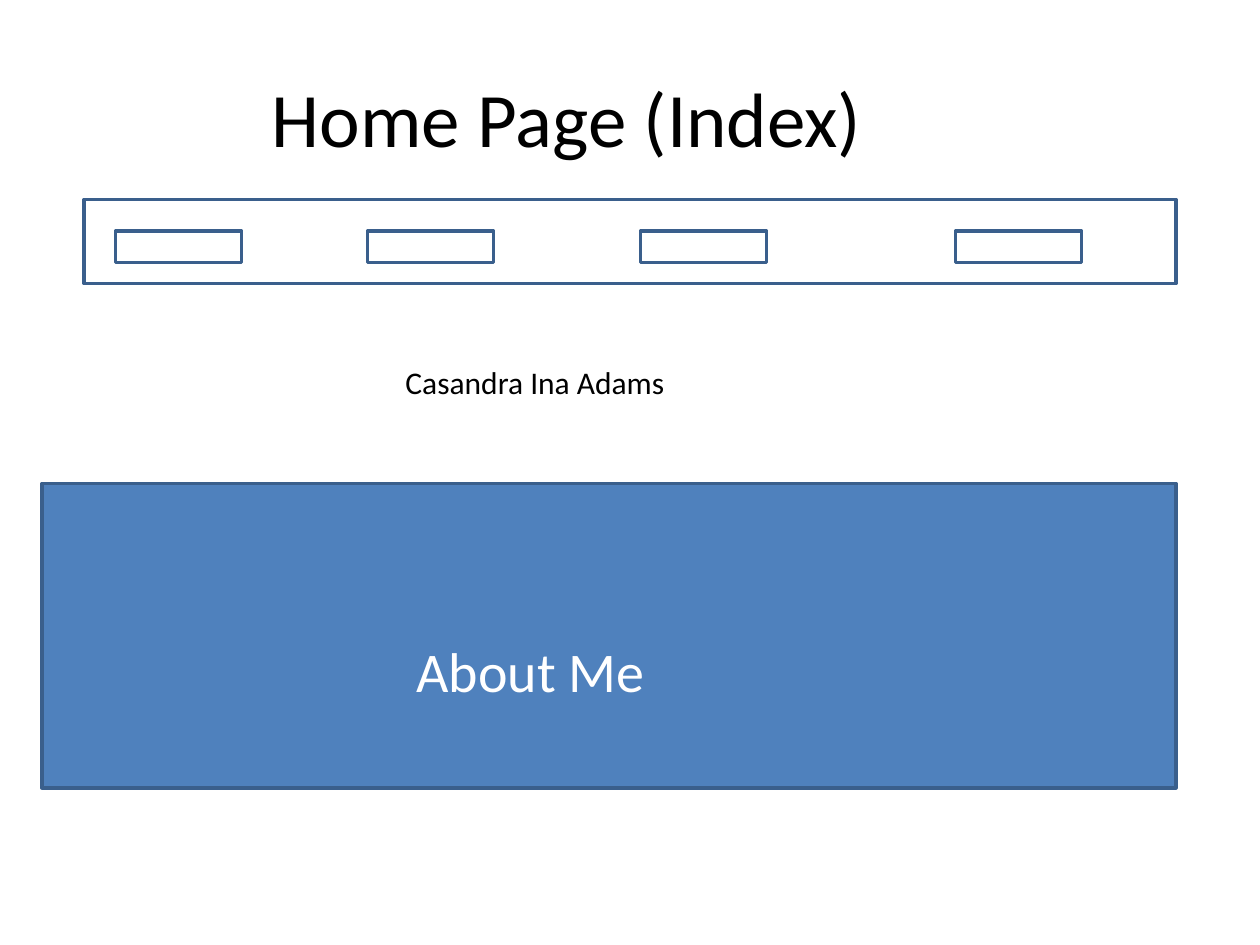
from pptx import Presentation, util as u
from pptx.dml.color import RGBColor
from pptx.enum import shapes, text

COLORS = {"ink": "000000", "paper": "FFFFFF", "blue": "4F81BD", "edge": "3A5F8C"}


def rgb(name):
    """Return the named colour."""
    return RGBColor.from_string(COLORS[name])


class Wireframe:
    """Holds the style and the current slide."""

    font = "Calibri"
    line_width = u.Pt(2)

    def __init__(self, slide):
        """Keep the slide to draw on."""
        self.s = slide

    def fill_text(self, tf, words, size, color, align, **frame):
        """Put one styled paragraph into a text frame."""
        for name, value in frame.items():
            setattr(tf, name, value)
        p = tf.paragraphs[0]
        p.alignment = align
        r = p.add_run()
        r.text = words
        for name, value in {"name": self.font, "size": u.Pt(size)}.items():
            setattr(r.font, name, value)
        r.font.color.rgb = rgb(color)

    def title(self, words, left, top, width, height):
        """Place and fill the title placeholder."""
        sp = self.s.shapes.title
        box = {"left": left, "top": top, "width": width, "height": height}
        for name, value in box.items():
            setattr(sp, name, u.Pt(value))
        self.fill_text(sp.text_frame, words, 44, "ink", text.PP_ALIGN.CENTER,
                       vertical_anchor=text.MSO_ANCHOR.MIDDLE)

    def box(self, left, top, width, height, fill="paper"):
        """Draw an outlined rectangle."""
        sp = self.s.shapes.add_shape(shapes.MSO_SHAPE.RECTANGLE,
                                     *map(u.Pt, (left, top, width, height)))
        sp.shadow.inherit = False
        sp.fill.solid()
        sp.fill.fore_color.rgb = rgb(fill)
        sp.line.color.rgb = rgb("edge")
        sp.line.width = self.line_width

    def label(self, words, left, top, width, height, size, color):
        """Add a left-aligned text box."""
        sp = self.s.shapes.add_textbox(*map(u.Pt, (left, top, width, height)))
        self.fill_text(sp.text_frame, words, size, color, text.PP_ALIGN.LEFT,
                       word_wrap=True,
                       auto_size=text.MSO_AUTO_SIZE.SHAPE_TO_FIT_TEXT)


def main():
    """Build and save the slide."""
    prs = Presentation()
    prs.slide_width, prs.slide_height = u.Pt(720), u.Pt(540)
    page = Wireframe(prs.slides.add_slide(prs.slide_layouts[5]))

    page.title("Home Page (Index)", 0, 21.6, 648, 90)
    page.box(48, 114, 624, 48)
    for left in (66, 210, 366, 546):
        page.box(left, 132, 72, 18)
    page.label("Casandra Ina Adams", 224.64, 204, 177, 29, 18, "ink")
    page.box(24, 276.3, 648, 174, fill="blue")
    page.label("About Me", 231, 360, 170.6, 46, 32, "paper")

    prs.save("out.pptx")


main()
